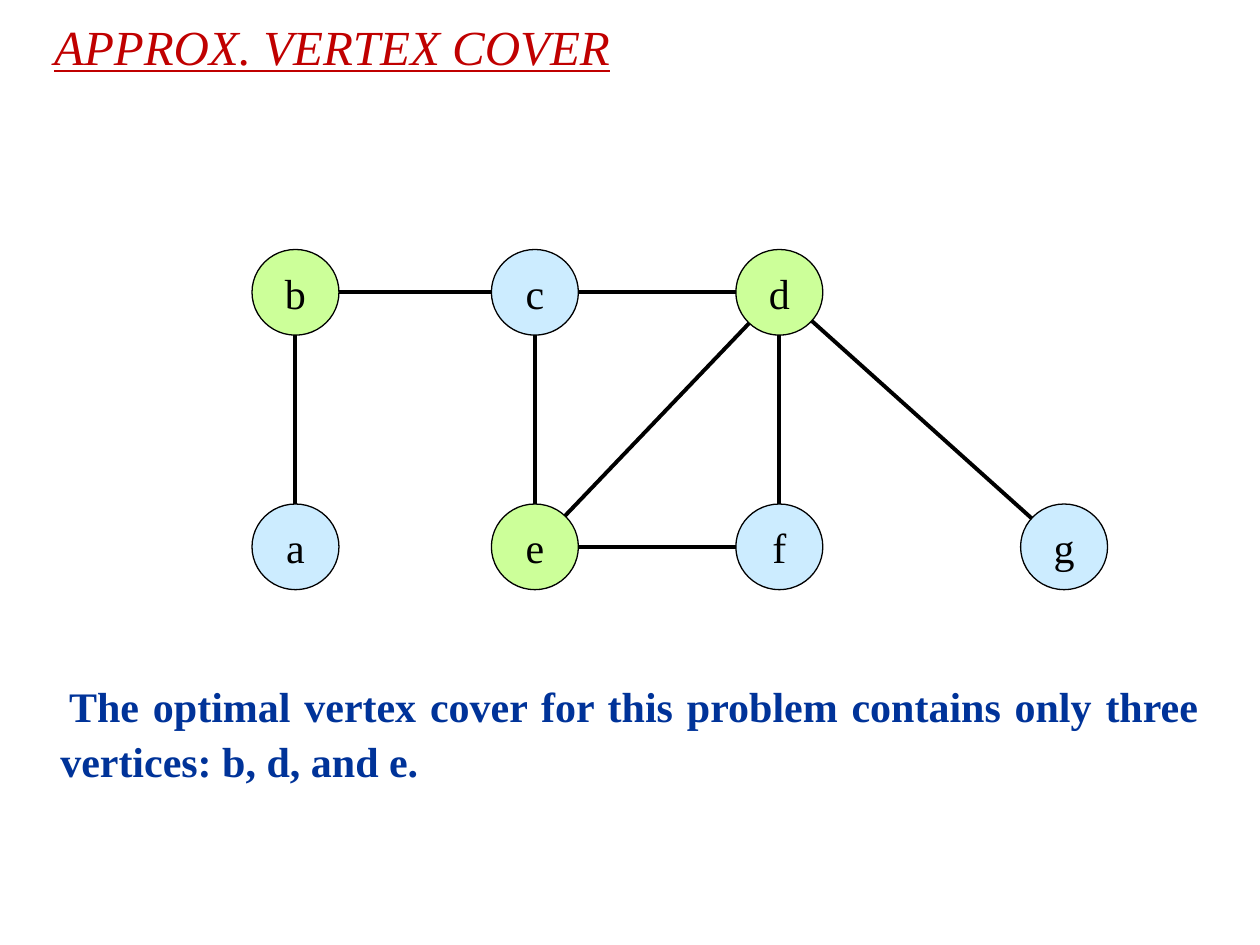
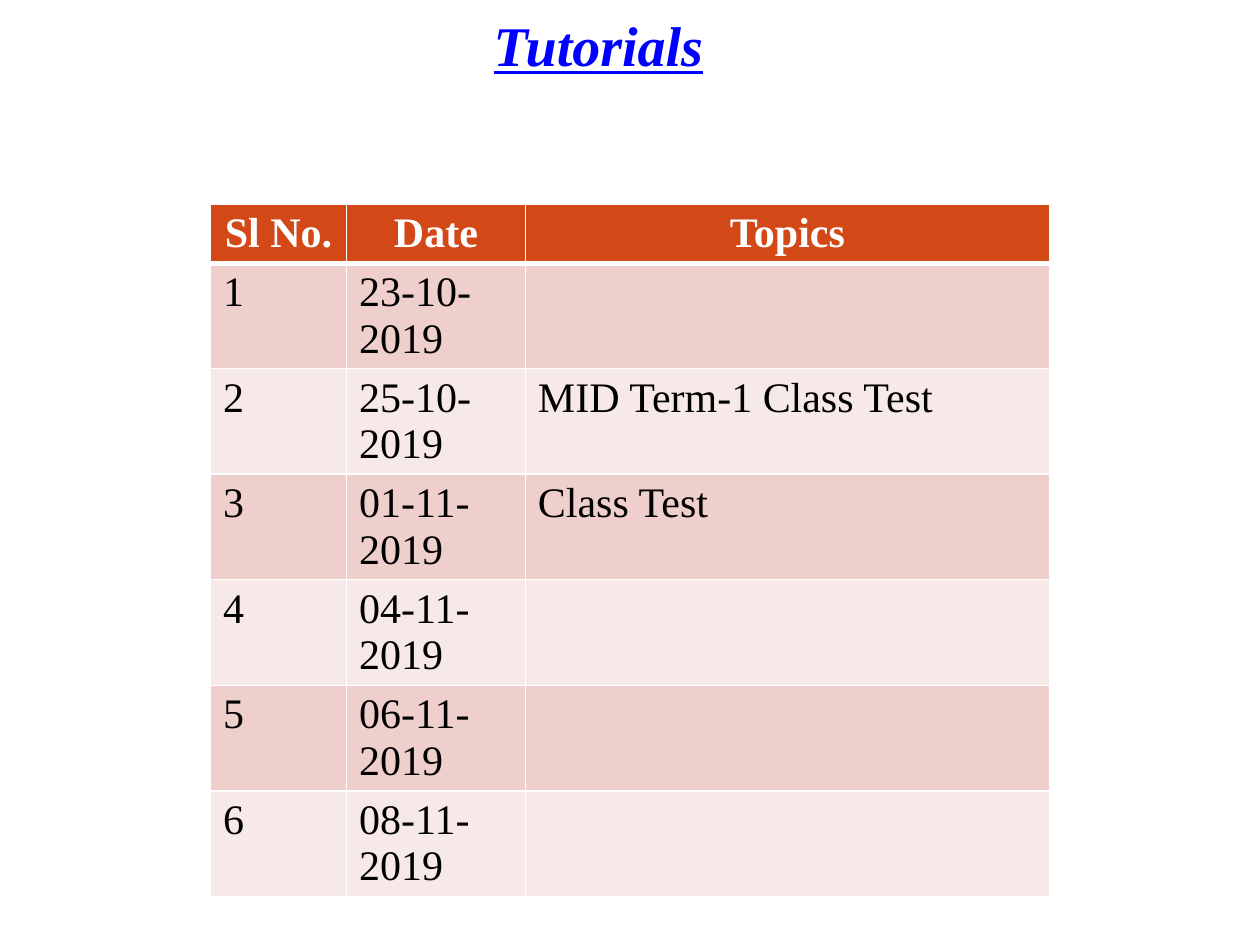
"""Build a vertex cover slide and a tutorial schedule slide."""
from dataclasses import dataclass
from math import hypot
from typing import Optional

from lxml.etree import SubElement
from pptx import Presentation
from pptx.dml.color import RGBColor
from pptx.enum.shapes import MSO_CONNECTOR, MSO_SHAPE
from pptx.enum.text import MSO_ANCHOR, MSO_AUTO_SIZE, PP_ALIGN
from pptx.oxml import parse_xml
from pptx.oxml.ns import nsdecls, qn
from pptx.presentation import Presentation as Deck
from pptx.slide import Slide
from pptx.table import _Cell as Cell
from pptx.text.text import _Paragraph as Paragraph
from pptx.util import Inches, Pt


@dataclass(frozen=True)
class Theme:
    """Colours, font and sizes shared by the slides."""
    font: str = "Times New Roman"
    black: str = "000000"
    white: str = "FFFFFF"
    red: str = "C00000"
    blue: str = "0000FF"
    navy: str = "003399"
    plain_vertex: str = "CCECFF"
    cover_vertex: str = "CCFF99"
    header: str = "D34817"
    bands: tuple[str, str] = ("EFCFCC", "F7E9E8")
    body_size: int = 24
    outline: float = 0.75
    edge: float = 2.25
    grid: int = 1
    header_rule: int = 3


@dataclass(frozen=True)
class Box:
    """A position and size in inches."""
    left: float
    top: float
    width: float
    height: float

    def lengths(self) -> tuple[Inches, Inches, Inches, Inches]:
        """Return the four values as lengths."""
        return (Inches(self.left), Inches(self.top),
                Inches(self.width), Inches(self.height))


@dataclass(frozen=True)
class Title:
    """A slide title and its look."""
    text: str
    box: Box
    size: int
    color: str
    alignment: PP_ALIGN
    bold: bool = False


@dataclass(frozen=True)
class Vertex:
    """A labelled graph vertex at a grid place."""
    label: str
    column: int
    row: int
    covered: bool = False

    @property
    def box(self) -> Box:
        """Return the box of the circle."""
        return Box(COLUMNS[self.column], ROWS[self.row], VERTEX_WIDTH, VERTEX_HEIGHT)

    @property
    def center(self) -> tuple[float, float]:
        """Return the middle of the circle."""
        return self.box.left + VERTEX_WIDTH / 2, self.box.top + VERTEX_HEIGHT / 2


THEME = Theme()
COLUMNS = (2.0, 3.9, 5.84, 8.1)
ROWS = (1.98, 4.0)
VERTEX_WIDTH = 0.69
VERTEX_HEIGHT = 0.68
VERTICES = (
    Vertex("a", 0, 1), Vertex("b", 0, 0, True), Vertex("c", 1, 0),
    Vertex("d", 2, 0, True), Vertex("e", 1, 1, True),
    Vertex("f", 2, 1), Vertex("g", 3, 1),
)
EDGES = ("bc", "cd", "ef", "ce", "ba", "df", "ed", "dg")
HEADINGS = ("Sl No.", "Date", "Topics")
COLUMN_WIDTHS = (1.08, 1.42, 4.16)
ROW_HEIGHT = 0.41
SESSIONS = (
    ("23-10-2019", ""), ("25-10-2019", "MID Term-1 Class Test"),
    ("01-11-2019", "Class Test"), ("04-11-2019", ""),
    ("06-11-2019", ""), ("08-11-2019", ""),
)


def add_run(paragraph: Paragraph, text: str, color: str,
            size: int = THEME.body_size, bold: bool = False,
            italic: Optional[bool] = None, underline: Optional[bool] = None) -> None:
    """Add one formatted run."""
    run = paragraph.add_run()
    run.text = text
    font = run.font
    font.name = THEME.font
    font.size = Pt(size)
    font.color.rgb = RGBColor.from_string(color)
    font.bold, font.italic, font.underline = bold, italic, underline


def add_titled_slide(presentation: Deck, title: Title) -> Slide:
    """Add a title-only slide with its title formatted."""
    slide = presentation.slides.add_slide(presentation.slide_layouts[5])
    shape = slide.shapes.title
    shape.left, shape.top, shape.width, shape.height = title.box.lengths()
    frame = shape.text_frame
    frame.auto_size = MSO_AUTO_SIZE.NONE
    frame.vertical_anchor = MSO_ANCHOR.BOTTOM
    frame.margin_bottom = Inches(0.1)
    paragraph = frame.paragraphs[0]
    paragraph.alignment = title.alignment
    add_run(paragraph, title.text, title.color, title.size, title.bold, True, True)
    return slide


def add_vertex(slide: Slide, vertex: Vertex) -> None:
    """Draw a labelled circle."""
    shape = slide.shapes.add_shape(MSO_SHAPE.OVAL, *vertex.box.lengths())
    shape.shadow.inherit = False
    shape.fill.solid()
    shape.fill.fore_color.rgb = RGBColor.from_string(
        THEME.cover_vertex if vertex.covered else THEME.plain_vertex)
    shape.line.color.rgb = RGBColor.from_string(THEME.black)
    shape.line.width = Pt(THEME.outline)
    frame = shape.text_frame
    frame.word_wrap = False
    frame.vertical_anchor = MSO_ANCHOR.MIDDLE
    paragraph = frame.paragraphs[0]
    paragraph.alignment = PP_ALIGN.CENTER
    add_run(paragraph, vertex.label, THEME.black)


def add_edge(slide: Slide, start: Vertex, end: Vertex) -> None:
    """Join the rims of two circles along the line of their centres."""
    (start_x, start_y), (end_x, end_y) = start.center, end.center
    distance = hypot(end_x - start_x, end_y - start_y)
    reach_x = (end_x - start_x) / distance * VERTEX_WIDTH / 2
    reach_y = (end_y - start_y) / distance * VERTEX_HEIGHT / 2
    connector = slide.shapes.add_connector(
        MSO_CONNECTOR.STRAIGHT,
        Inches(start_x + reach_x), Inches(start_y + reach_y),
        Inches(end_x - reach_x), Inches(end_y - reach_y))
    connector.line.color.rgb = RGBColor.from_string(THEME.black)
    connector.line.width = Pt(THEME.edge)
    SubElement(connector._element.spPr, qn("a:effectLst"))


def add_conclusion(slide: Slide, text: str) -> None:
    """Add the justified statement below the graph."""
    shape = slide.shapes.add_textbox(*Box(0, 5.31, 9.61, 0.91).lengths())
    frame = shape.text_frame
    frame.word_wrap = True
    frame.auto_size = MSO_AUTO_SIZE.SHAPE_TO_FIT_TEXT
    paragraph = frame.paragraphs[0]
    paragraph.alignment = PP_ALIGN.JUSTIFY
    paragraph.line_spacing = 1.1
    properties = paragraph._p.get_or_add_pPr()
    properties.set("marL", str(Inches(0.38)))
    properties.set("indent", str(Inches(0.07)))
    add_run(paragraph, text, THEME.navy, bold=True)


def set_borders(cell: Cell, top: int, bottom: int) -> None:
    """Give a cell white borders."""
    properties = cell._tc.get_or_add_tcPr()
    sides = (("lnL", THEME.grid), ("lnR", THEME.grid), ("lnT", top), ("lnB", bottom))
    for position, (side, width) in enumerate(sides):
        properties.insert(position, parse_xml(
            f'<a:{side} {nsdecls("a")} w="{Pt(width)}"><a:solidFill>'
            f'<a:srgbClr val="{THEME.white}"/></a:solidFill></a:{side}>'))


def add_schedule(slide: Slide) -> None:
    """Add the table of tutorial sessions."""
    rows = [HEADINGS] + [(str(number), *session)
                         for number, session in enumerate(SESSIONS, 1)]
    box = Box(1.67, 1.62, sum(COLUMN_WIDTHS), ROW_HEIGHT * len(rows))
    table = slide.shapes.add_table(len(rows), len(HEADINGS), *box.lengths()).table
    table.horz_banding = False
    for column, width in zip(table.columns, COLUMN_WIDTHS):
        column.width = Inches(width)
    for row_index, texts in enumerate(rows):
        table.rows[row_index].height = Inches(ROW_HEIGHT)
        heading = row_index == 0
        fill = THEME.header if heading else THEME.bands[(row_index - 1) % 2]
        for column_index, text in enumerate(texts):
            cell = table.cell(row_index, column_index)
            cell.fill.solid()
            cell.fill.fore_color.rgb = RGBColor.from_string(fill)
            set_borders(cell, THEME.header_rule if row_index == 1 else THEME.grid,
                        THEME.header_rule if heading else THEME.grid)
            paragraph = cell.text_frame.paragraphs[0]
            paragraph.alignment = PP_ALIGN.CENTER if heading else PP_ALIGN.LEFT
            if text:
                add_run(paragraph, text, THEME.white if heading else THEME.black,
                        bold=heading)


def build_vertex_cover(presentation: Deck) -> None:
    """Build the graph slide."""
    slide = add_titled_slide(presentation, Title(
        "APPROX. VERTEX COVER", Box(0.33, 0.01, 9.67, 0.69), 28,
        THEME.red, PP_ALIGN.LEFT))
    for vertex in VERTICES:
        add_vertex(slide, vertex)
    by_label = {vertex.label: vertex for vertex in VERTICES}
    for start, end in EDGES:
        add_edge(slide, by_label[start], by_label[end])
    add_conclusion(slide, "The optimal vertex cover for this problem contains "
                          "only three vertices: b, d, and e.")


def build_tutorials(presentation: Deck) -> None:
    """Build the schedule slide."""
    slide = add_titled_slide(presentation, Title(
        "Tutorials", Box(0, 0.13, 9.5, 0.59), 32,
        THEME.blue, PP_ALIGN.CENTER, bold=True))
    add_schedule(slide)


def main() -> None:
    """Build and save the presentation."""
    presentation = Presentation()
    presentation.slide_width = Inches(10)
    presentation.slide_height = Inches(7.5)
    build_vertex_cover(presentation)
    build_tutorials(presentation)
    presentation.save("out.pptx")


main()
